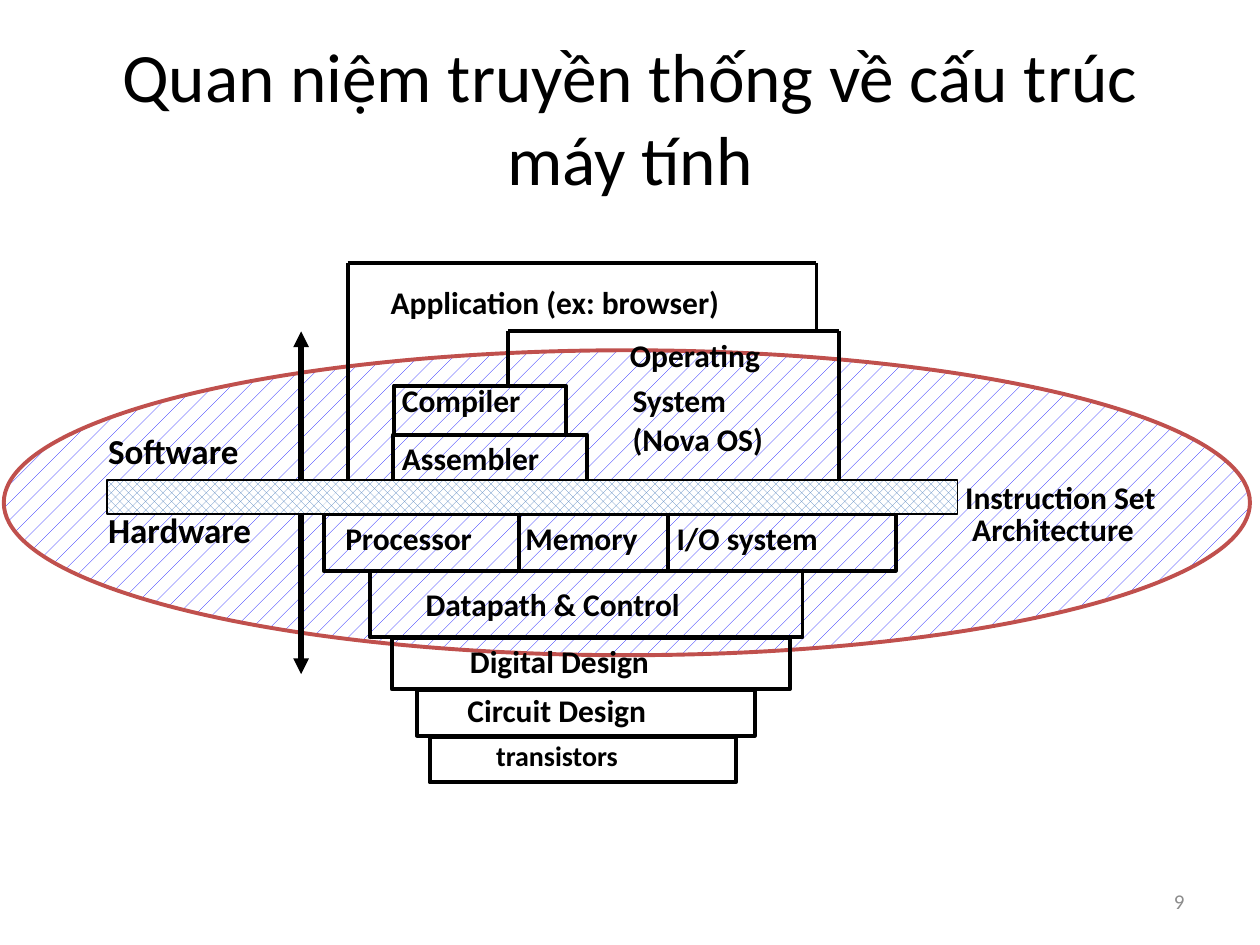
from dataclasses import dataclass

from lxml import etree
from pptx import Presentation
from pptx.dml.color import RGBColor
from pptx.enum import dml, shapes, text
from pptx.oxml import ns
from pptx.util import Inches, Pt

BLACK = RGBColor(0x00, 0x00, 0x00)
WHITE = RGBColor(0xFF, 0xFF, 0xFF)
GRAY = RGBColor(0x8C, 0x8C, 0x8C)
RED = RGBColor(0xC0, 0x50, 0x4D)
BLUE = RGBColor(0x00, 0x00, 0xFF)
STEEL = RGBColor(0x4F, 0x81, 0xBD)
FONT = "Calibri"


@dataclass
class Frame:
    left: float
    top: float
    width: float
    height: float

    def lengths(self) -> list:
        return [Inches(v) for v in (self.left, self.top, self.width, self.height)]


@dataclass
class Pattern:
    kind: dml.MSO_PATTERN
    color: RGBColor


@dataclass
class Label:
    frame: Frame
    lines: tuple
    size: float = 18
    bold: bool = True
    color: RGBColor = BLACK
    align: text.PP_ALIGN = text.PP_ALIGN.LEFT
    anchor: text.MSO_ANCHOR = text.MSO_ANCHOR.TOP
    inset: tuple = (0.07, 0.03)
    spacing: float = 1.02
    grow: bool = True


@dataclass
class Stroke:
    start: tuple
    end: tuple
    width: float = 2.25
    arrow: bool = False


def draw_shape(page, kind, frame: Frame, color=BLACK, width=2.25, pattern: Pattern = None) -> None:
    shape = page.shapes.add_shape(kind, *frame.lengths())
    shape.shadow.inherit = False
    shape.line.color.rgb = color
    shape.line.width = Pt(width)
    if pattern is None:
        shape.fill.background()
    else:
        shape.fill.patterned()
        shape.fill.pattern = pattern.kind
        shape.fill.fore_color.rgb = pattern.color
        shape.fill.back_color.rgb = WHITE


def draw_label(page, label: Label) -> None:
    box = page.shapes.add_textbox(*label.frame.lengths())
    body = box.text_frame
    body.word_wrap = True
    if label.grow:
        body.auto_size = text.MSO_AUTO_SIZE.SHAPE_TO_FIT_TEXT
    body.vertical_anchor = label.anchor
    body.margin_left = body.margin_right = Inches(label.inset[0])
    body.margin_top = body.margin_bottom = Inches(label.inset[1])
    for number, line in enumerate(label.lines):
        para = body.add_paragraph() if number else body.paragraphs[0]
        para.alignment = label.align
        para.line_spacing = label.spacing
        span = para.add_run()
        span.text = line
        span.font.name = FONT
        span.font.size = Pt(label.size)
        span.font.bold = label.bold
        span.font.color.rgb = label.color


def draw_stroke(page, stroke: Stroke) -> None:
    points = [Inches(v) for v in (*stroke.start, *stroke.end)]
    line = page.shapes.add_connector(shapes.MSO_CONNECTOR.STRAIGHT, *points)
    line.line.color.rgb = BLACK
    line.line.width = Pt(stroke.width)
    if stroke.arrow:
        etree.SubElement(line.line._get_or_add_ln(), ns.qn("a:tailEnd"), type="triangle")
    etree.SubElement(line._element.spPr, ns.qn("a:effectLst"))


WIDE = dict(inset=(0.1, 0.05), spacing=1.0)
MIDDLE = text.MSO_ANCHOR.MIDDLE

ISA_BAR = Frame(0.85, 3.81, 6.75, 0.27)
BAR_TOP, BAR_BOTTOM = 3.81, 4.08

LAYERS = [
    Frame(3.13, 3.06, 1.36, 0.39),  # compiler
    Frame(3.12, 3.45, 1.54, 0.39),  # assembler
    Frame(2.57, BAR_BOTTOM, 4.54, 0.45),  # processor, memory, I/O
    Frame(2.94, 4.53, 3.43, 0.53),  # datapath and control
    Frame(3.11, 5.06, 3.16, 0.41),  # digital design
    Frame(3.31, 5.48, 2.68, 0.36),  # circuit design
    Frame(3.41, 5.85, 2.43, 0.36),  # transistors
]

STROKES = [
    # application outline
    Stroke((2.76, BAR_TOP), (2.76, 2.09)),
    Stroke((2.76, 2.09), (6.48, 2.09)),
    Stroke((6.48, 2.09), (6.48, 2.62)),
    # operating system outline
    Stroke((4.03, 3.06), (4.03, 2.63)),
    Stroke((4.03, 2.63), (6.66, 2.63)),
    Stroke((6.66, 2.63), (6.66, 3.89)),
    # hardware dividers
    Stroke((4.12, BAR_BOTTOM), (4.12, 4.53)),
    Stroke((5.3, BAR_BOTTOM), (5.3, 4.53)),
    # software and hardware directions
    Stroke((2.39, BAR_TOP), (2.39, 2.63), 3, True),
    Stroke((2.39, BAR_BOTTOM), (2.39, 5.35), 3, True),
]

LABELS = [
    Label(Frame(0.5, 0.3, 9, 1.25), ("Quan niệm truyền thống về cấu trúc máy tính",), 39.6, False,
          align=text.PP_ALIGN.CENTER, anchor=MIDDLE, grow=False, **WIDE),
    Label(Frame(7.17, 6.95, 2.33, 0.4), ("9",), 12, False, GRAY,
          align=text.PP_ALIGN.RIGHT, anchor=MIDDLE, grow=False, **WIDE),
    Label(Frame(3.03, 2.21, 3.42, 0.36), ("Application (ex: browser)",)),
    Label(Frame(4.93, 2.63, 1.44, 0.36), ("Operating",)),
    Label(Frame(4.95, 2.99, 1.51, 0.67), ("System", "(Nova OS)")),
    Label(Frame(3.12, 2.99, 1.33, 0.36), ("Compiler",)),
    Label(Frame(3.12, 3.45, 1.63, 0.36), ("Assembler",)),
    Label(Frame(2.67, 4.08, 1.48, 0.36), ("Processor",)),
    Label(Frame(4.1, 4.08, 1.19, 0.36), ("Memory",)),
    Label(Frame(5.3, 4.08, 1.53, 0.36), ("I/O system",)),
    Label(Frame(3.28, 4.59, 2.77, 0.4), ("Datapath & Control",), **WIDE),
    Label(Frame(3.66, 5.06, 1.97, 0.36), ("Digital Design",)),
    Label(Frame(3.64, 5.45, 2, 0.36), ("Circuit Design",)),
    Label(Frame(3.84, 5.81, 1.54, 0.37), ("transistors",), 16, **WIDE),
    Label(Frame(7.59, 3.81, 2.06, 0.58), ("Instruction Set", " Architecture"), spacing=0.85),
    Label(Frame(0.76, 3.36, 1.5, 0.44), ("Software",), 20, **WIDE),
    Label(Frame(0.76, 3.99, 1.6, 0.44), ("Hardware",), 20, **WIDE),
]


def main() -> None:
    deck = Presentation()
    deck.slide_width, deck.slide_height = Inches(10), Inches(7.5)
    page = deck.slides.add_slide(deck.slide_layouts[6])

    draw_shape(page, shapes.MSO_SHAPE.OVAL, Frame(0.03, 2.78, 9.89, 2.42), RED,
               pattern=Pattern(dml.MSO_PATTERN.PERCENT_5, BLUE))
    for layer in LAYERS:
        draw_shape(page, shapes.MSO_SHAPE.RECTANGLE, layer)
    for stroke in STROKES:
        draw_stroke(page, stroke)
    draw_shape(page, shapes.MSO_SHAPE.RECTANGLE, ISA_BAR, width=1,
               pattern=Pattern(dml.MSO_PATTERN.PERCENT_50, STEEL))
    for label in LABELS:
        draw_label(page, label)

    deck.save("out.pptx")


if __name__ == "__main__":
    main()
